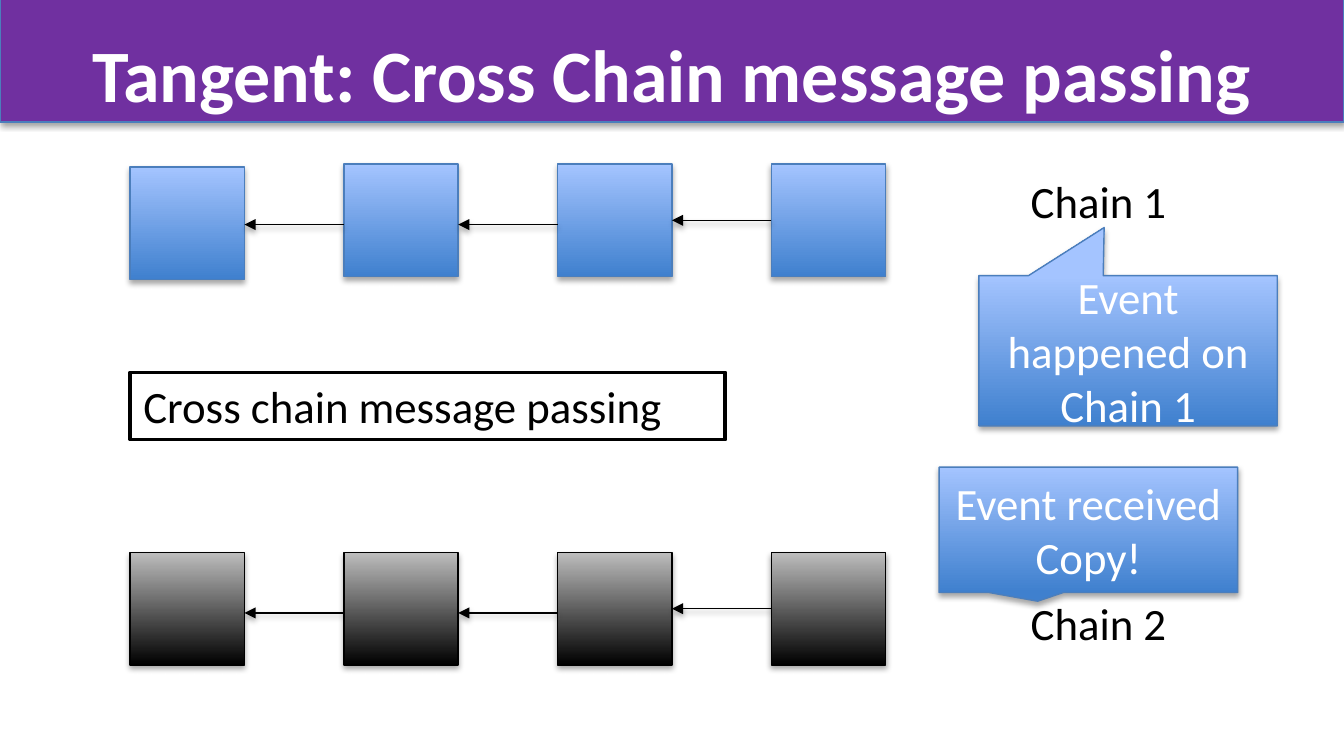
from lxml.etree import SubElement
from pptx import Presentation
from pptx.dml.color import RGBColor
from pptx.enum.shapes import MSO_CONNECTOR as Connector, MSO_SHAPE as Shape
from pptx.enum.text import MSO_ANCHOR as Anchor, MSO_AUTO_SIZE as AutoSize, PP_ALIGN as Align
from pptx.oxml import parse_xml
from pptx.oxml.ns import nsdecls, qn
from pptx.util import Cm, Pt

COLORS = {
    "band": "7030A0", "outline": "4B7EBC", "white": "FFFFFF", "black": "000000",
    "blue_dark": "3F80CE", "blue_light": "A4C4FF", "gray_light": "BDBDBD",
}
BLUE = ("blue_dark", "blue_light", "outline")
BLACK = ("black", "gray_light", "black")
FONT = "Calibri"
BLOCK_COUNT = 4
BLOCK_WIDTH, BLOCK_HEIGHT = 2.16, 2.13


def color(name):
    return RGBColor.from_string(COLORS[name])


def add_shadow(shape):
    shape._element.spPr.append(parse_xml(
        f'<a:effectLst {nsdecls("a")}>'
        '<a:outerShdw blurRad="40000" dist="23000" dir="5400000" rotWithShape="0">'
        f'<a:srgbClr val="{COLORS["black"]}"><a:alpha val="35000"/></a:srgbClr>'
        '</a:outerShdw></a:effectLst>'))


def style_line(line, name, width=0.75):
    line.color.rgb = color(name)
    line.width = Pt(width)


def style_gradient(shape, palette):
    """Fill from dark at the bottom to light at the top, with outline and shadow."""
    dark, light, outline = palette
    shape.fill.gradient()
    shape.fill.gradient_angle = 90
    for stop, name, position in zip(shape.fill.gradient_stops, (dark, light), (0, 1)):
        stop.color.rgb = color(name)
        stop.position = position
    style_line(shape.line, outline)
    add_shadow(shape)


def set_text(shape, text, name, size=24, bold=False, align=Align.LEFT, anchor=Anchor.TOP):
    frame = shape.text_frame
    frame.text = text
    frame.auto_size = AutoSize.NONE
    frame.word_wrap = True
    frame.vertical_anchor = anchor
    for paragraph in frame.paragraphs:
        paragraph.alignment = align
        for run in paragraph.runs:
            run.font.name = FONT
            run.font.size = Pt(size)
            run.font.bold = bold
            run.font.color.rgb = color(name)


def add_header(slide, left, top, width, height, text):
    band = slide.shapes.add_shape(Shape.RECTANGLE, Cm(left), Cm(top), Cm(width), Cm(height))
    band.fill.solid()
    band.fill.fore_color.rgb = color("band")
    style_line(band.line, "outline")
    add_shadow(band)

    title = slide.shapes.title
    title.element.addprevious(band.element)
    title.left, title.top = Cm(left + 1.27), Cm(top + 0.39)
    title.width, title.height = Cm(width - 2.54), Cm(1.73)
    set_text(title, text, "white", 39.6, bold=True, align=Align.CENTER)
    title.text_frame.word_wrap = False
    title.text_frame.margin_top = Cm(0.18)


def add_arrow(slide, start, end, drop):
    """Point from a block to the one on its left, joined when there is no drop."""
    middle = start.top + start.height // 2 + Cm(drop)
    arrow = slide.shapes.add_connector(
        Connector.STRAIGHT, start.left, middle, end.left + end.width, middle)
    if not drop:
        arrow.begin_connect(start, 1)
        arrow.end_connect(end, 3)
    style_line(arrow.line, "black")
    SubElement(arrow.line._get_or_add_ln(), qn("a:tailEnd"), type="triangle")
    add_shadow(arrow)


def add_chain(slide, left, top, width, palette, first_drop=0):
    pitch = (width - BLOCK_WIDTH) / (BLOCK_COUNT - 1)
    blocks = []
    for index in range(BLOCK_COUNT):
        block_top = top if index else top + first_drop
        block = slide.shapes.add_shape(
            Shape.RECTANGLE, Cm(left + index * pitch), Cm(block_top),
            Cm(BLOCK_WIDTH), Cm(BLOCK_HEIGHT))
        style_gradient(block, palette)
        blocks.append(block)
    for end, start in zip(blocks, blocks[1:]):
        add_arrow(slide, start, end, 0 if start is blocks[-1] else 0.08)


def add_label(slide, left, top, width, height, text):
    label = slide.shapes.add_textbox(Cm(left), Cm(top), Cm(width), Cm(height))
    set_text(label, text, "black")
    return label


def add_boxed_label(slide, left, top, width, height, text):
    label = add_label(slide, left, top, width, height, text)
    label.fill.solid()
    label.fill.fore_color.rgb = color("white")
    style_line(label.line, "black", 2)


def add_callout(slide, left, top, width, height, text, tip):
    callout = slide.shapes.add_shape(
        Shape.RECTANGULAR_CALLOUT, Cm(left), Cm(top), Cm(width), Cm(height))
    callout.adjustments[0], callout.adjustments[1] = tip
    style_gradient(callout, BLUE)
    set_text(callout, text, "white", align=Align.CENTER, anchor=Anchor.MIDDLE)


def main():
    presentation = Presentation()
    presentation.slide_width, presentation.slide_height = Cm(25.4), Cm(14.29)
    slide = presentation.slides.add_slide(presentation.slide_layouts[5])

    add_header(slide, 0, -0.03, 25.4, 2.34, "Tangent: Cross Chain message passing")
    add_chain(slide, 2.46, 3.1, 14.28, BLUE, first_drop=0.06)
    add_chain(slide, 2.46, 10.44, 14.28, BLACK)
    add_label(slide, 19.23, 3.15, 3.35, 1.27, "Chain 1")
    add_label(slide, 19.23, 11.13, 3.35, 1.27, "Chain 2")
    add_callout(slide, 18.5, 5.21, 5.64, 2.84, "Event happened on Chain 1", (-0.08, -0.82))
    add_callout(slide, 17.75, 8.83, 5.64, 2.37, "Event received\nCopy!", (-0.17, 0.57))
    add_boxed_label(slide, 2.46, 7.04, 11.25, 1.27, "Cross chain message passing")

    presentation.save("out.pptx")


if __name__ == "__main__":
    main()
